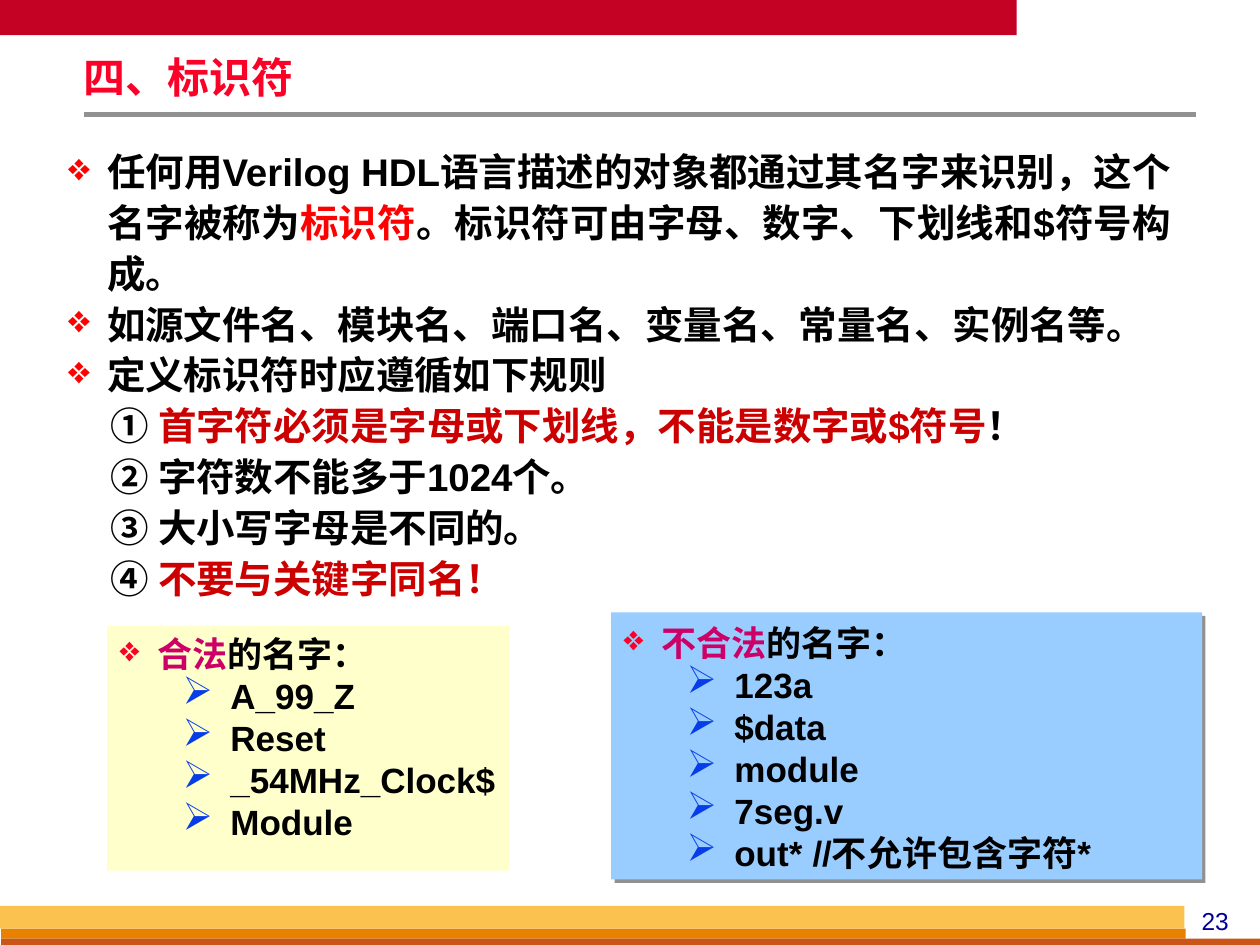
from lxml import etree
from pptx import Presentation
from pptx.dml.color import RGBColor
from pptx.enum.shapes import MSO_CONNECTOR, MSO_SHAPE
from pptx.enum.text import MSO_ANCHOR, PP_ALIGN
from pptx.oxml.ns import qn
from pptx.util import Inches, Pt

RECTANGLE = MSO_SHAPE.RECTANGLE
STRAIGHT = MSO_CONNECTOR.STRAIGHT
TOP, MIDDLE, BOTTOM = MSO_ANCHOR.TOP, MSO_ANCHOR.MIDDLE, MSO_ANCHOR.BOTTOM
LEFT, CENTER, JUSTIFY = PP_ALIGN.LEFT, PP_ALIGN.CENTER, PP_ALIGN.JUSTIFY
TITLE_ONLY = 5

COLORS = {
    "banner": "C30224", "gray": "919191", "gold": "FCC24F", "orange": "E88000",
    "rust": "C95616", "number": "000099", "title": "FC0128", "text": "000000",
    "red": "FF0000", "warning": "CC0000", "magenta": "CC0066", "arrow": "063DE8",
    "legal": "FFFFCC", "illegal": "99CCFF",
}

STATEMENTS = [
    [("任何用Verilog HDL语言描述的对象都通过其名字来识别，这个名字被称为", "text"),
     ("标识符", "red"),
     ("。标识符可由字母、数字、下划线和$符号构成。", "text")],
    [("如源文件名、模块名、端口名、变量名、常量名、实例名等。", "text")],
    [("定义标识符时应遵循如下规则", "text")],
]
RULES = [
    [("① ", "text"), ("首字符必须是字母或下划线，不能是数字或$符号", "warning"), ("！", "text")],
    [("② 字符数不能多于1024个。", "text")],
    [("③ 大小写字母是不同的。", "text")],
    [("④ ", "text"), ("不要与关键字同名！", "warning")],
]
LEGAL_NAMES = ["A_99_Z", "Reset", "_54MHz_Clock$", "Module"]
ILLEGAL_NAMES = ["123a", "$data", "module", "7seg.v", "out*\t//不允许包含字符*"]


def rgb(color):
    return RGBColor.from_string(COLORS[color])


def add_rectangle(slide, left, top, width, height, color):
    rectangle = slide.shapes.add_shape(
        RECTANGLE, Inches(left), Inches(top), Inches(width), Inches(height))
    rectangle.shadow.inherit = False
    rectangle.fill.solid()
    rectangle.fill.fore_color.rgb = rgb(color)
    rectangle.line.fill.background()
    return rectangle


def add_rule_line(slide, left, right, y):
    line = slide.shapes.add_connector(
        STRAIGHT, Inches(left), Inches(y), Inches(right), Inches(y))
    line.line.color.rgb = rgb("gray")
    line.line.width = Pt(3)
    etree.SubElement(line._element.spPr, qn("a:effectLst"))


def add_hard_shadow(shape):
    effects = shape._element.spPr.find(qn("a:effectLst"))
    shadow = etree.SubElement(effects, qn("a:outerShdw"), dist=str(Pt(2.8)),
                              dir="2700000", algn="ctr", rotWithShape="0")
    etree.SubElement(shadow, qn("a:srgbClr"), val=COLORS["gray"])


def set_bullet(paragraph, mark, color, percent=100):
    props = paragraph._p.get_or_add_pPr()
    bullet_color = etree.SubElement(props, qn("a:buClr"))
    etree.SubElement(bullet_color, qn("a:srgbClr"), val=COLORS[color])
    etree.SubElement(props, qn("a:buSzPct"), val=str(percent * 1000))
    etree.SubElement(props, qn("a:buChar"), char=mark)


def add_paragraph(frame, runs, size, margin, hanging=0, bullet=None,
                  level=0, align=LEFT, spacing=None):
    """Fill the frame's empty first paragraph, or append one; bullet is (mark, color, percent)."""
    first = frame.paragraphs[0]
    paragraph = frame.add_paragraph() if first.runs else first
    paragraph.level = level
    paragraph.alignment = align
    if spacing:
        paragraph.line_spacing = spacing
    props = paragraph._p.get_or_add_pPr()
    props.set("marL", str(Inches(margin)))
    props.set("indent", str(Inches(-hanging)))
    if bullet:
        set_bullet(paragraph, *bullet)
    paragraph.font.size = Pt(size)
    paragraph.font.name = "Arial"
    paragraph.font.bold = True
    for text, color in runs:
        run = paragraph.add_run()
        run.text = text
        run.font.color.rgb = rgb(color)


def set_frame(frame, anchor, side=0.1, edge=0.05):
    frame.word_wrap = True
    frame.vertical_anchor = anchor
    frame.margin_left = frame.margin_right = Inches(side)
    frame.margin_top = frame.margin_bottom = Inches(edge)


def add_title(slide, text):
    title = slide.shapes.title
    title.left, title.top = Inches(0.59), Inches(0.43)
    title.width, title.height = Inches(8.5), Inches(0.41)
    set_frame(title.text_frame, MIDDLE, 0.07, 0.03)
    title.text_frame.text = text
    paragraph = title.text_frame.paragraphs[0]
    paragraph.alignment = LEFT
    paragraph.line_spacing = 0.87
    paragraph.font.size = Pt(24)
    paragraph.font.name = "Times New Roman"
    paragraph.font.bold = True
    paragraph.font.color.rgb = rgb("title")


def add_body(slide):
    body = slide.shapes.add_textbox(Inches(0.47), Inches(1.11), Inches(8.89), Inches(3.7))
    frame = body.text_frame
    set_frame(frame, TOP, 0.07, 0.03)
    for runs in STATEMENTS:
        add_paragraph(frame, runs, 22, 0.31, 0.31, ("❖", "red"), align=JUSTIFY, spacing=1.1)
    for runs in RULES:
        add_paragraph(frame, runs, 22, 0.34, spacing=1.1)


def add_name_panel(slide, bounds, color, kind, names, anchor):
    panel = add_rectangle(slide, *bounds, color)
    frame = panel.text_frame
    set_frame(frame, anchor)
    frame.margin_right = Inches(0.05)
    heading = [(kind, "magenta"), ("的名字：", "text")]
    add_paragraph(frame, heading, 20, 0.3, 0.3, ("❖", "title"))
    for name in names:
        add_paragraph(frame, [(name, "text")], 20, 0.88, 0.38, ("➢", "arrow", 110), level=1)
    return panel


def add_page_number(slide, number):
    box = slide.shapes.add_textbox(Inches(9.33), Inches(7.14), Inches(0.63), Inches(0.33))
    set_frame(box.text_frame, TOP)
    paragraph = box.text_frame.paragraphs[0]
    paragraph.text = number
    paragraph.alignment = CENTER
    paragraph.font.size = Pt(14)
    paragraph.font.name = "Arial"
    paragraph.font.color.rgb = rgb("number")


def main():
    presentation = Presentation()
    presentation.slide_width, presentation.slide_height = Inches(10), Inches(7.5)
    slide = presentation.slides.add_slide(presentation.slide_layouts[TITLE_ONLY])

    add_rectangle(slide, 0, 0, 8.07, 0.28, "banner")
    add_rule_line(slide, 0.67, 9.49, 0.91)
    add_rectangle(slide, 0.01, 7.37, 9.4, 0.08, "orange")
    add_rectangle(slide, 0.01, 7.45, 9.99, 0.05, "rust")
    add_rectangle(slide, 0, 7.19, 9.4, 0.18, "gold")
    add_page_number(slide, "23")

    add_title(slide, "四、标识符")
    add_body(slide)
    illegal_panel = add_name_panel(
        slide, (4.85, 4.86, 4.69, 2.12), "illegal", "不合法", ILLEGAL_NAMES, BOTTOM)
    add_hard_shadow(illegal_panel)
    add_name_panel(slide, (0.85, 4.97, 3.19, 1.94), "legal", "合法", LEGAL_NAMES, TOP)

    presentation.save("out.pptx")


if __name__ == "__main__":
    main()
